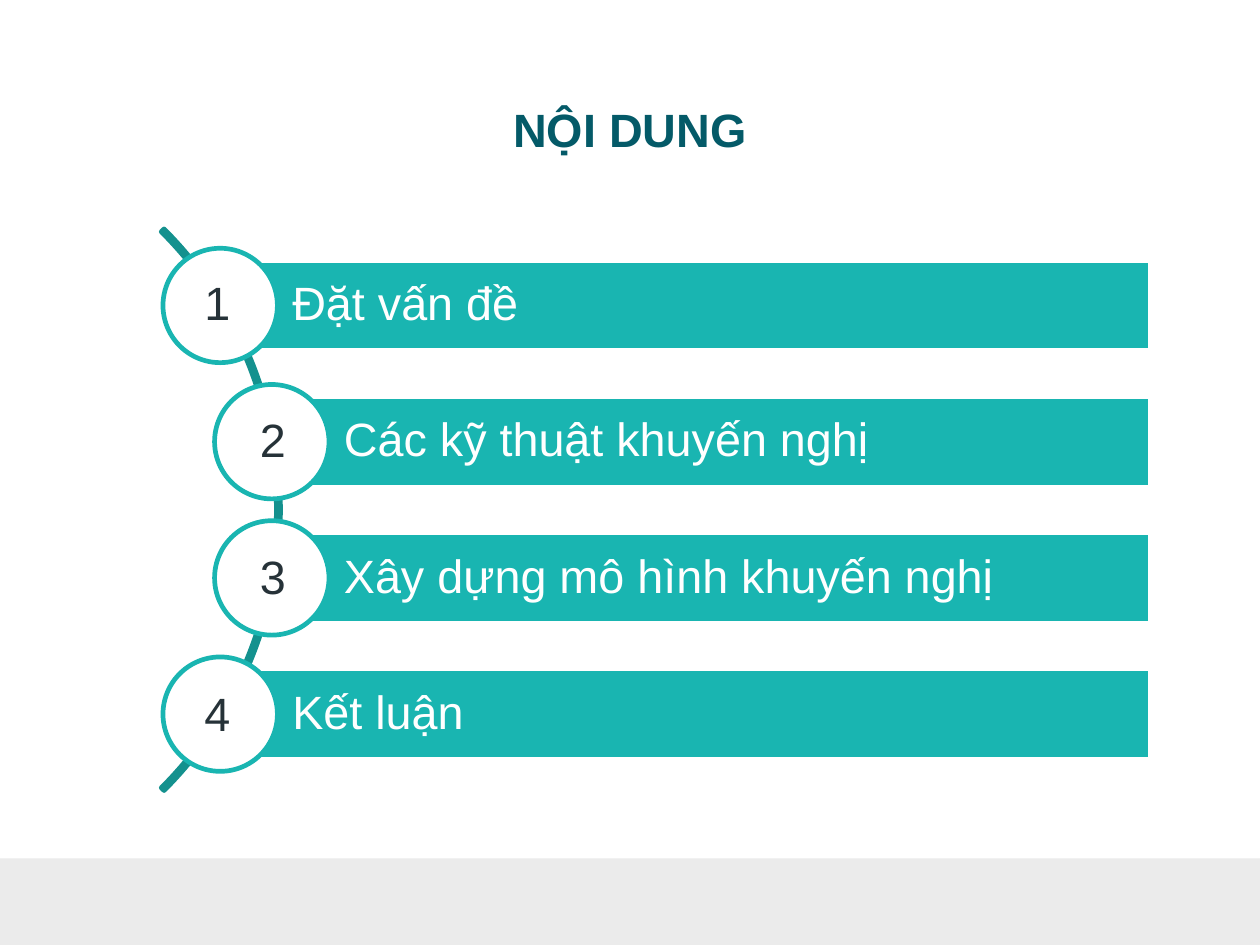
from pptx import Presentation
from pptx.dml.color import RGBColor
from pptx.enum import shapes, text
from pptx.util import Cm, Pt

TEAL = RGBColor(0x19, 0xB5, 0xB1)
DARK_TEAL = RGBColor(0x14, 0x91, 0x8E)
TITLE_BLUE = RGBColor(0x04, 0x5A, 0x68)
INK = RGBColor(0x26, 0x32, 0x38)
GREY = RGBColor(0xEB, 0xEB, 0xEB)
WHITE = RGBColor(0xFF, 0xFF, 0xFF)

PAGE_WIDTH, PAGE_HEIGHT = 19.05, 14.29
FOOTER_TOP = 12.98
BAR_RIGHT, BAR_HEIGHT = 17.4, 1.37
RING_SIZE = 1.73
ARC_SIZE = 12.01
FIRST_MIDDLE, ROW_STEP = 4.62, 2.06
FIRST_NUMBER_TOP, NUMBER_STEP = 4.01, 2.07

# Topic, ring centre, left of the number
TOPICS = [
    ("Đặt vấn đề", 3.33, 2.84),
    ("Các kỹ thuật khuyến nghị", 4.11, 3.68),
    ("Xây dựng mô hình khuyến nghị", 4.11, 3.68),
    ("Kết luận", 3.33, 2.84),
]


def write(box, words, color, bold=False, align=text.PP_ALIGN.LEFT,
          anchor=text.MSO_ANCHOR.TOP, insets=(0.25, 0.13, 0.25, 0.13),
          line_spacing=1.0):
    """Fill a shape with one formatted paragraph; insets are left, top, right, bottom."""
    frame = box.text_frame
    frame.word_wrap = True
    frame.vertical_anchor = anchor
    (frame.margin_left, frame.margin_top,
     frame.margin_right, frame.margin_bottom) = map(Cm, insets)
    para = frame.paragraphs[0]
    para.alignment = align
    para.line_spacing = line_spacing
    span = para.add_run()
    span.text = words
    span.font.name = "Arial"
    span.font.size = Pt(20)
    span.font.bold = bold
    span.font.color.rgb = color


class AgendaPage:
    def __init__(self, deck):
        self.page = deck.slides.add_slide(deck.slide_layouts[5])

    def title(self, words):
        box = self.page.shapes.title
        box.left, box.top = Cm(0), Cm(1.4)
        box.width, box.height = Cm(PAGE_WIDTH), Cm(1.09)
        write(box, words, TITLE_BLUE, bold=True, align=text.PP_ALIGN.CENTER,
              anchor=text.MSO_ANCHOR.MIDDLE, insets=(0.18,) * 4)

    def shape(self, kind, left, top, width, height, fill, line=None):
        box = self.page.shapes.add_shape(
            kind, Cm(left), Cm(top), Cm(width), Cm(height))
        box.shadow.inherit = False
        box.fill.solid()
        box.fill.fore_color.rgb = fill
        if line is None:
            box.line.fill.background()
        else:
            box.line.color.rgb = line
            box.line.width = Pt(2)
        return box

    def arc(self, middle):
        arc = self.shape(shapes.MSO_SHAPE.BLOCK_ARC, -7.77, middle - ARC_SIZE / 2,
                         ARC_SIZE, ARC_SIZE, DARK_TEAL, DARK_TEAL)
        # Angles in 1/60000 degree, divided by 100000: from 315 to 45 degrees
        for index, value in enumerate((189, 27, 0.005)):
            arc.adjustments[index] = value

    def topic(self, words, center, middle):
        bar = self.shape(shapes.MSO_SHAPE.RECTANGLE, center, middle - BAR_HEIGHT / 2,
                         BAR_RIGHT - center, BAR_HEIGHT, TEAL, WHITE)
        write(bar, words, WHITE, anchor=text.MSO_ANCHOR.MIDDLE,
              insets=(1.09, 0.15, 0.15, 0.15), line_spacing=0.9)
        self.shape(shapes.MSO_SHAPE.OVAL, center - RING_SIZE / 2,
                   middle - RING_SIZE / 2, RING_SIZE, RING_SIZE, WHITE, TEAL)

    def number(self, words, left, top):
        box = self.page.shapes.add_textbox(Cm(left), Cm(top), Cm(0.97), Cm(1.12))
        write(box, words, INK)


def main():
    deck = Presentation()
    deck.slide_width, deck.slide_height = Cm(PAGE_WIDTH), Cm(PAGE_HEIGHT)

    agenda = AgendaPage(deck)
    agenda.shape(shapes.MSO_SHAPE.RECTANGLE, 0, FOOTER_TOP,
                 PAGE_WIDTH, PAGE_HEIGHT - FOOTER_TOP, GREY)
    agenda.title("NỘI DUNG")
    agenda.arc(FIRST_MIDDLE + ROW_STEP * (len(TOPICS) - 1) / 2)
    for row, (words, center, number_left) in enumerate(TOPICS):
        agenda.topic(words, center, FIRST_MIDDLE + row * ROW_STEP)
        agenda.number(str(row + 1), number_left, FIRST_NUMBER_TOP + row * NUMBER_STEP)

    deck.save("out.pptx")


if __name__ == "__main__":
    main()
